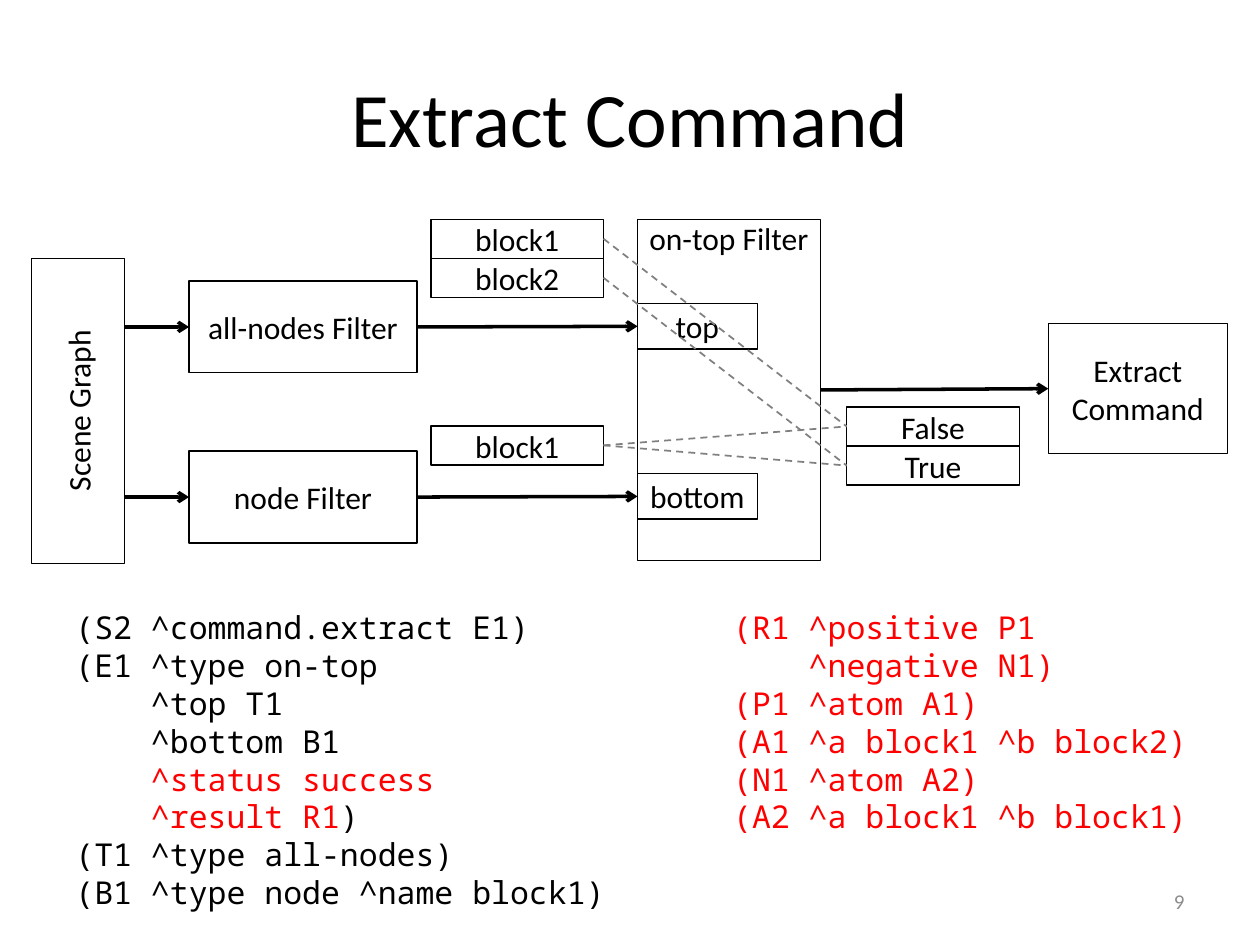
from dataclasses import dataclass
from lxml.etree import SubElement
from pptx import Presentation
from pptx.dml.color import RGBColor
from pptx.enum.dml import MSO_LINE
from pptx.enum.shapes import MSO_CONNECTOR, MSO_SHAPE
from pptx.enum.text import MSO_ANCHOR, MSO_AUTO_SIZE, PP_ALIGN
from pptx.oxml.ns import qn
from pptx.util import Inches, Pt

LEFT, RIGHT = 1, 3


@dataclass(frozen=True)
class Theme:
    black: RGBColor = RGBColor(0, 0, 0)
    red: RGBColor = RGBColor(255, 0, 0)
    gray: RGBColor = RGBColor(128, 128, 128)
    pale: RGBColor = RGBColor(140, 140, 140)
    sans: str = "Calibri"
    mono: str = "Noto Sans Mono"
    head: int = 44
    body: int = 18
    foot: int = 12


class Page:
    def __init__(self, deck, theme):
        self.theme = theme
        self.slide = deck.slides.add_slide(deck.slide_layouts[5])
        self.shapes = self.slide.shapes

    def font(self, para, name, size, color):
        para.font.name = name
        para.font.size = Pt(size)
        para.font.color.rgb = color

    def title(self, text):
        box = self.shapes.title
        box.left, box.top = Inches(0.5), Inches(0.3)
        box.width, box.height = Inches(9), Inches(1.25)
        box.text_frame.text = text
        box.text_frame.vertical_anchor = MSO_ANCHOR.MIDDLE
        para = box.text_frame.paragraphs[0]
        para.alignment = PP_ALIGN.CENTER
        self.font(para, self.theme.sans, self.theme.head, self.theme.black)

    def box(self, text, x, y, w, h, anchor=MSO_ANCHOR.MIDDLE, turn=False):
        shape = self.shapes.add_shape(
            MSO_SHAPE.RECTANGLE, Inches(x), Inches(y), Inches(w), Inches(h))
        shape.shadow.inherit = False
        shape.fill.background()
        shape.line.color.rgb = self.theme.black
        shape.line.width = Pt(0.75)
        frame = shape.text_frame
        frame.margin_left = frame.margin_right = 0
        frame.margin_top = frame.margin_bottom = 0
        frame.word_wrap = True
        frame.vertical_anchor = anchor
        if turn:
            frame._txBody.bodyPr.set("vert", "vert270")
        frame.text = text
        for para in frame.paragraphs:
            para.alignment = PP_ALIGN.CENTER
            self.font(para, self.theme.sans, self.theme.body, self.theme.black)
        return shape

    def link(self, start, end, color, width):
        line = self.shapes.add_connector(MSO_CONNECTOR.STRAIGHT, 0, 0, 0, 0)
        line.begin_connect(start, RIGHT)
        line.end_connect(end, LEFT)
        line.line.color.rgb = color
        line.line.width = Pt(width)
        SubElement(line._element.spPr, qn("a:effectLst"))
        return line

    def arrow(self, start, end, level=False):
        line = self.link(start, end, self.theme.black, 2)
        if level:
            line.begin_x = start.left + start.width
            line.begin_y = line.end_y
        SubElement(line.line._get_or_add_ln(), qn("a:tailEnd"), type="arrow")

    def dash(self, start, end):
        line = self.link(start, end, self.theme.gray, 1)
        line.line.dash_style = MSO_LINE.DASH

    def code(self, lines, x, y, w, h):
        area = self.shapes.add_textbox(
            Inches(x), Inches(y), Inches(w), Inches(h))
        frame = area.text_frame
        frame.word_wrap = True
        frame.auto_size = MSO_AUTO_SIZE.SHAPE_TO_FIT_TEXT
        for i, runs in enumerate(lines):
            para = frame.add_paragraph() if i else frame.paragraphs[0]
            self.font(para, self.theme.mono, self.theme.body, runs[0][1])
            for text, color in runs:
                run = para.add_run()
                run.text = text
                if color != runs[0][1]:
                    run.font.color.rgb = color

    def number(self, text):
        area = self.shapes.add_textbox(
            Inches(7.17), Inches(6.95), Inches(2.33), Inches(0.4))
        frame = area.text_frame
        frame.word_wrap = True
        frame.vertical_anchor = MSO_ANCHOR.MIDDLE
        frame.text = text
        para = frame.paragraphs[0]
        para.alignment = PP_ALIGN.RIGHT
        self.font(para, self.theme.sans, self.theme.foot, self.theme.pale)


def main():
    deck = Presentation()
    deck.slide_width, deck.slide_height = Inches(10), Inches(7.5)
    theme = Theme()
    page = Page(deck, theme)
    page.title("Extract Command")

    ontop = page.box("on-top Filter", 5.06, 1.74, 1.45, 2.71, MSO_ANCHOR.TOP)
    scene = page.box("Scene Graph", 0.25, 2.05, 0.74, 2.42, turn=True)
    extract = page.box("Extract\nCommand", 8.32, 2.57, 1.42, 1.03)
    page.arrow(ontop, extract)

    rows = (("all-nodes Filter", "top", 2.59), ("node Filter", "bottom", 3.94))
    for name, port, mid in rows:
        node = page.box(name, 1.5, mid - 0.36, 1.81, 0.73)
        slot = page.box(port, 5.06, mid - 0.18, 0.95, 0.36)
        page.arrow(scene, node, level=True)
        page.arrow(node, slot)

    cells = (("block1", 3.42, 1.74), ("block2", 3.42, 2.05),
             ("block1", 3.42, 3.38), ("False", 6.72, 3.23),
             ("True", 6.72, 3.54))
    first, second, base, false, true = [
        page.box(text, x, y, 1.37, 0.31) for text, x, y in cells]
    pairs = ((first, false), (base, false), (second, true), (base, true))
    for start, end in pairs:
        page.dash(start, end)

    black, red = theme.black, theme.red
    page.code([
        [("(S2 ^command.extract E1)", black)],
        [("(E1 ^type on-top", black)],
        [("    ^top T1", black)],
        [("    ^bottom B1", black)],
        [("    ", black), ("^status success", red)],
        [("    ^result R1", red), (")", black)],
        [("(T1 ^type all-nodes)", black)],
        [("(B1 ^type node ^name block1)", black)],
    ], 0.5, 4.78, 4.56, 2.52)
    answer = ("(R1 ^positive P1", "    ^negative N1)", "(P1 ^atom A1)",
              "(A1 ^a block1 ^b block2)", "(N1 ^atom A2)",
              "(A2 ^a block1 ^b block1)")
    page.code([[(text, red)] for text in answer], 5.72, 4.78, 3.85, 1.92)
    page.number("9")
    deck.save("out.pptx")


if __name__ == "__main__":
    main()
